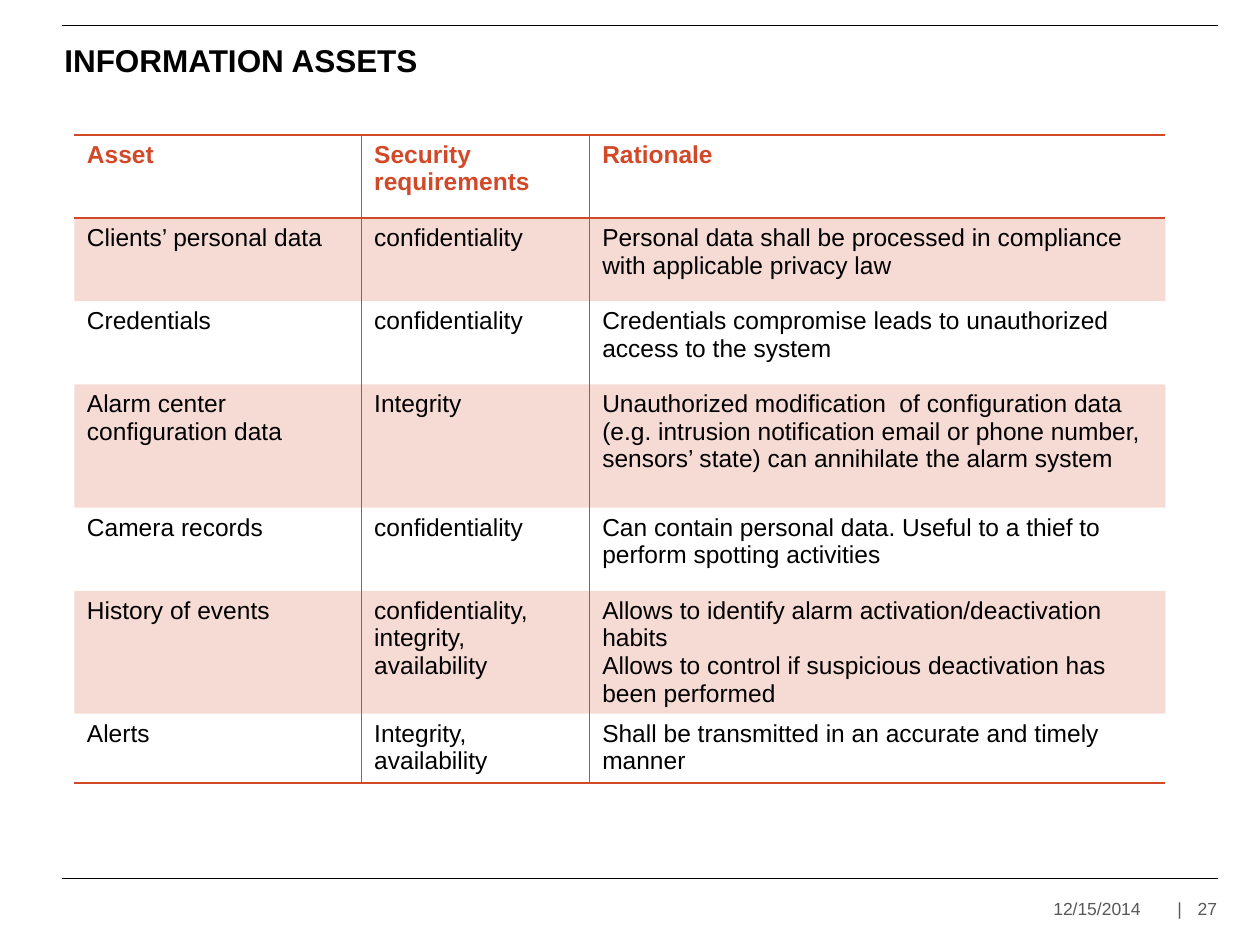
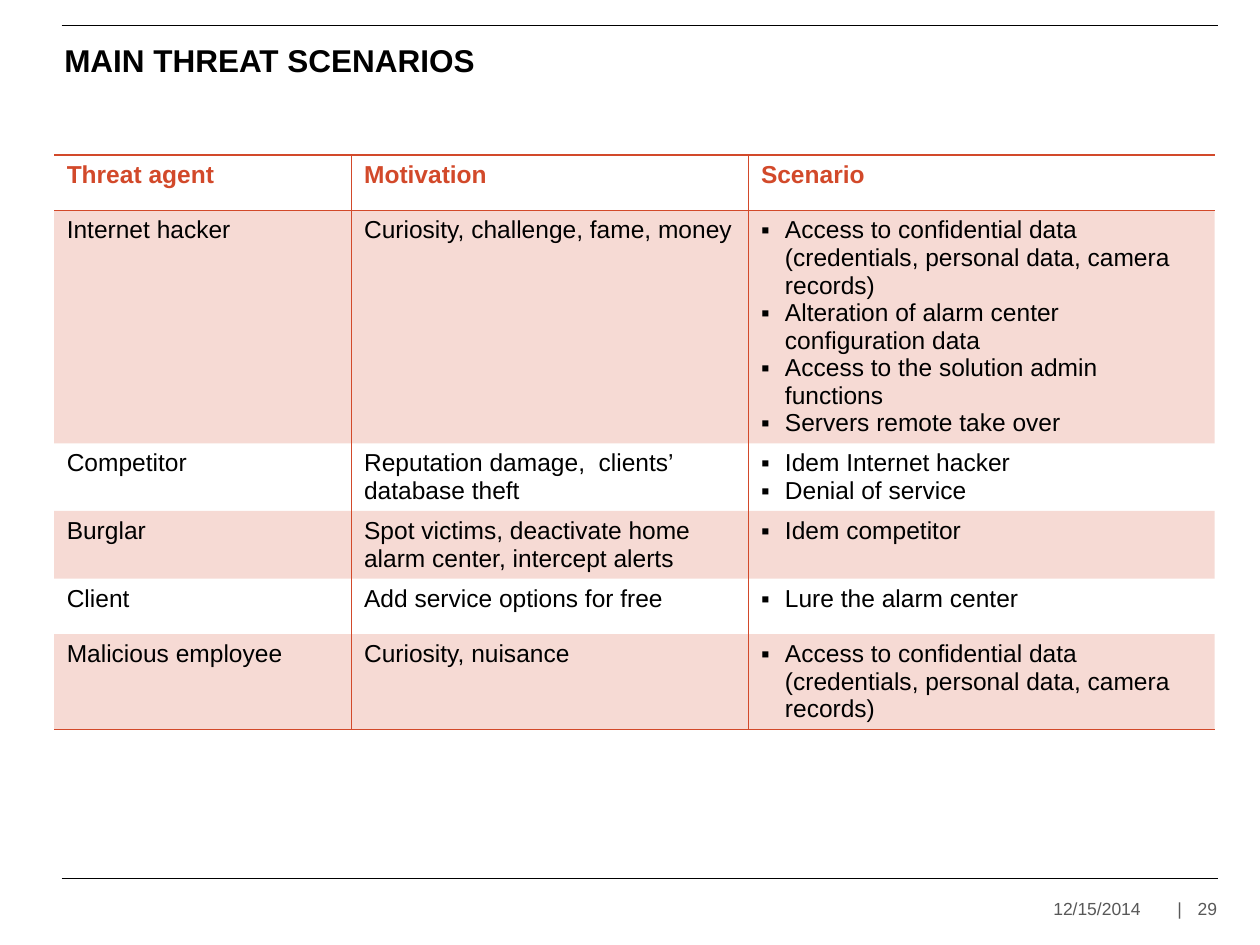
import dataclasses

import lxml.etree
import pptx
import pptx.dml.color
import pptx.enum.shapes
import pptx.enum.text
import pptx.oxml.ns
import pptx.util

Inches = pptx.util.Inches
qn = pptx.oxml.ns.qn

# Each row is one tuple of cells; a list inside a cell holds its paragraphs.
SLIDES = [
    {
        "title": "INFORMATION ASSETS",
        "number": "27",
        "origin": (0.59, 1.07),
        "columns": (2.28, 1.81, 4.57),
        "row_heights": (0.66, 0.66, 0.66, 0.98, 0.66, 0.94, 0.55),
        "bulleted_column": None,
        "rows": [
            ("Asset", "Security requirements", "Rationale"),
            ("Clients’ personal data", "confidentiality",
             "Personal data shall be processed in compliance with applicable privacy law"),
            ("Credentials", "confidentiality",
             "Credentials compromise leads to unauthorized access to the system"),
            ("Alarm center configuration data", "Integrity",
             "Unauthorized modification  of configuration data (e.g. intrusion notification "
             "email or phone number, sensors’ state) can annihilate the alarm system"),
            ("Camera records", "confidentiality",
             "Can contain personal data. Useful to a thief to perform spotting activities"),
            ("History of events", "confidentiality, integrity, availability",
             ["Allows to identify alarm activation/deactivation habits",
              "Allows to control if suspicious deactivation has been performed"]),
            ("Alerts", "Integrity, availability",
             "Shall be transmitted in an accurate and timely manner"),
        ],
    },
    {
        "title": "MAIN THREAT SCENARIOS",
        "number": "29",
        "origin": (0.43, 1.23),
        "columns": (2.36, 3.15, 3.7),
        "row_heights": (0.44,) * 6,
        "bulleted_column": 2,
        "rows": [
            ("Threat agent", "Motivation", "Scenario"),
            ("Internet hacker", "Curiosity, challenge, fame, money",
             ["Access to confidential data (credentials, personal data, camera records)",
              "Alteration of alarm center configuration data",
              "Access to the solution admin functions",
              "Servers remote take over"]),
            ("Competitor", "Reputation damage,  clients’ database theft",
             ["Idem Internet hacker", "Denial of service"]),
            ("Burglar", "Spot victims, deactivate home alarm center, intercept alerts",
             "Idem competitor"),
            ("Client", "Add service options for free", "Lure the alarm center"),
            ("Malicious employee", "Curiosity, nuisance",
             "Access to confidential data (credentials, personal data, camera records)"),
        ],
    },
]
DATE = "12/15/2014\t |"


@dataclasses.dataclass(frozen=True)
class Theme:
    font: str = "Arial"
    ink: str = "000000"
    accent: str = "D2492A"
    muted: str = "585858"
    band_opacity: int = 20
    title_size: int = 18
    table_size: int = 14
    footer_size: int = 10
    frame_line: float = 0.5
    thick_border: float = 1
    thin_border: float = 0.25


THEME = Theme()
SLIDE_SIZE = (10, 7.5)
FRAME_LEFT, FRAME_RIGHT = 0.49, 9.67
FRAME_LINES = (0.2, 6.97)
TITLE_BOX = (0.47, 0.3, 9.17, 0.35)
DATE_BOX = (8.36, 7.09, 1.02, 0.24)
NUMBER_BOX = (9.38, 7.09, 0.28, 0.24)
BULLET_INDENT = 0.19
PLAIN_TABLE_STYLE = "{2D5ABB26-0587-4C30-8999-92F81FD0307C}"


def add_element(parent, tag, **attributes):
    element = lxml.etree.SubElement(parent, qn(tag))
    for name, value in attributes.items():
        element.set(name, str(value))
    return element


def add_span(para, text, size, colour, bold=False):
    span = para.add_run()
    span.text = text
    span.font.name = THEME.font
    span.font.size = pptx.util.Pt(size)
    span.font.bold = bold
    span.font.color.rgb = pptx.dml.color.RGBColor.from_string(colour)


def set_frame(frame, left, top, right, bottom):
    frame.margin_left, frame.margin_top = Inches(left), Inches(top)
    frame.margin_right, frame.margin_bottom = Inches(right), Inches(bottom)
    frame.vertical_anchor = pptx.enum.text.MSO_ANCHOR.MIDDLE
    frame.auto_size = pptx.enum.text.MSO_AUTO_SIZE.NONE
    frame.word_wrap = False


def add_title(page, text):
    title = page.shapes.title
    title.left, title.top, title.width, title.height = map(Inches, TITLE_BOX)
    set_frame(title.text_frame, 0.04, 0, 0.04, 0)
    para = title.text_frame.paragraphs[0]
    para.alignment = pptx.enum.text.PP_ALIGN.LEFT
    add_span(para, text, THEME.title_size, THEME.ink, bold=True)


def add_frame_lines(page):
    for height in FRAME_LINES:
        rule = page.shapes.add_connector(
            pptx.enum.shapes.MSO_CONNECTOR.STRAIGHT,
            Inches(FRAME_LEFT), Inches(height), Inches(FRAME_RIGHT), Inches(height))
        rule.line.color.rgb = pptx.dml.color.RGBColor.from_string(THEME.ink)
        rule.line.width = pptx.util.Pt(THEME.frame_line)
        add_element(rule._element.spPr, "a:effectLst")


def add_footer_text(page, place, text, left_margin):
    box = page.shapes.add_textbox(*map(Inches, place))
    set_frame(box.text_frame, left_margin, 0.04, 0, 0.04)
    para = box.text_frame.paragraphs[0]
    add_span(para, text, THEME.footer_size, THEME.muted)
    return para


def add_footer(page, number):
    date = add_footer_text(page, DATE_BOX, DATE, 0)
    width = DATE_BOX[2]
    tabs = add_element(date._p.get_or_add_pPr(), "a:tabLst")
    for position, alignment in ((width / 2, "ctr"), (width, "r")):
        add_element(tabs, "a:tab", pos=Inches(position), algn=alignment)
    add_footer_text(page, NUMBER_BOX, number, 0.04).alignment = pptx.enum.text.PP_ALIGN.RIGHT


def add_bullet(para):
    properties = para._p.get_or_add_pPr()
    properties.set("marL", str(Inches(BULLET_INDENT)))
    properties.set("indent", str(-Inches(BULLET_INDENT)))
    add_element(properties, "a:buFont", typeface=THEME.font)
    add_element(properties, "a:buChar", char="▪")


def fill_cell(cell, content, heading, bulleted):
    paragraphs = content if isinstance(content, list) else [content]
    for index, text in enumerate(paragraphs):
        frame = cell.text_frame
        para = frame.add_paragraph() if index else frame.paragraphs[0]
        if bulleted:
            add_bullet(para)
        add_span(para, text, THEME.table_size,
                 THEME.accent if heading else THEME.ink, bold=heading)


def set_borders(cell, widths):
    """Draw left, right, top and bottom borders; a width of 0 means none."""
    properties = cell._tc.get_or_add_tcPr()
    for side, width in zip("LRTB", widths):
        border = add_element(properties, f"a:ln{side}", w=pptx.util.Pt(width))
        if width:
            paint = add_element(border, "a:solidFill")
            add_element(paint, "a:srgbClr", val=THEME.accent)
        else:
            add_element(border, "a:noFill")


def set_band(cell, shaded):
    if not shaded:
        cell.fill.background()
        return
    cell.fill.solid()
    cell.fill.fore_color.rgb = pptx.dml.color.RGBColor.from_string(THEME.accent)
    colour = cell._tc.tcPr.find(qn("a:solidFill")).find(qn("a:srgbClr"))
    add_element(colour, "a:alpha", val=THEME.band_opacity * 1000)


def add_banded_table(page, content):
    rows, columns, heights = content["rows"], content["columns"], content["row_heights"]
    place = (*content["origin"], sum(columns), sum(heights))
    table = page.shapes.add_table(len(rows), len(columns), *map(Inches, place)).table
    table._tbl.tblPr.find(qn("a:tableStyleId")).text = PLAIN_TABLE_STYLE
    for column, width in zip(table.columns, columns):
        column.width = Inches(width)
    for row, height in zip(table.rows, heights):
        row.height = Inches(height)
    last_row, last_column = len(rows) - 1, len(columns) - 1
    for r, row in enumerate(rows):
        for c, text in enumerate(row):
            cell = table.cell(r, c)
            heading = r == 0
            fill_cell(cell, text, heading, c == content["bulleted_column"] and not heading)
            set_borders(cell, (
                THEME.thin_border * (c > 0),
                THEME.thin_border * (c < last_column),
                THEME.thick_border * (r in (0, 1)),
                THEME.thick_border * (r in (0, last_row)),
            ))
            set_band(cell, r % 2 == 1)


def main():
    deck = pptx.Presentation()
    deck.slide_width, deck.slide_height = map(Inches, SLIDE_SIZE)
    title_only = deck.slide_layouts[5]
    for content in SLIDES:
        page = deck.slides.add_slide(title_only)
        add_frame_lines(page)
        add_title(page, content["title"])
        add_banded_table(page, content)
        add_footer(page, content["number"])
    deck.save("out.pptx")


if __name__ == "__main__":
    main()
